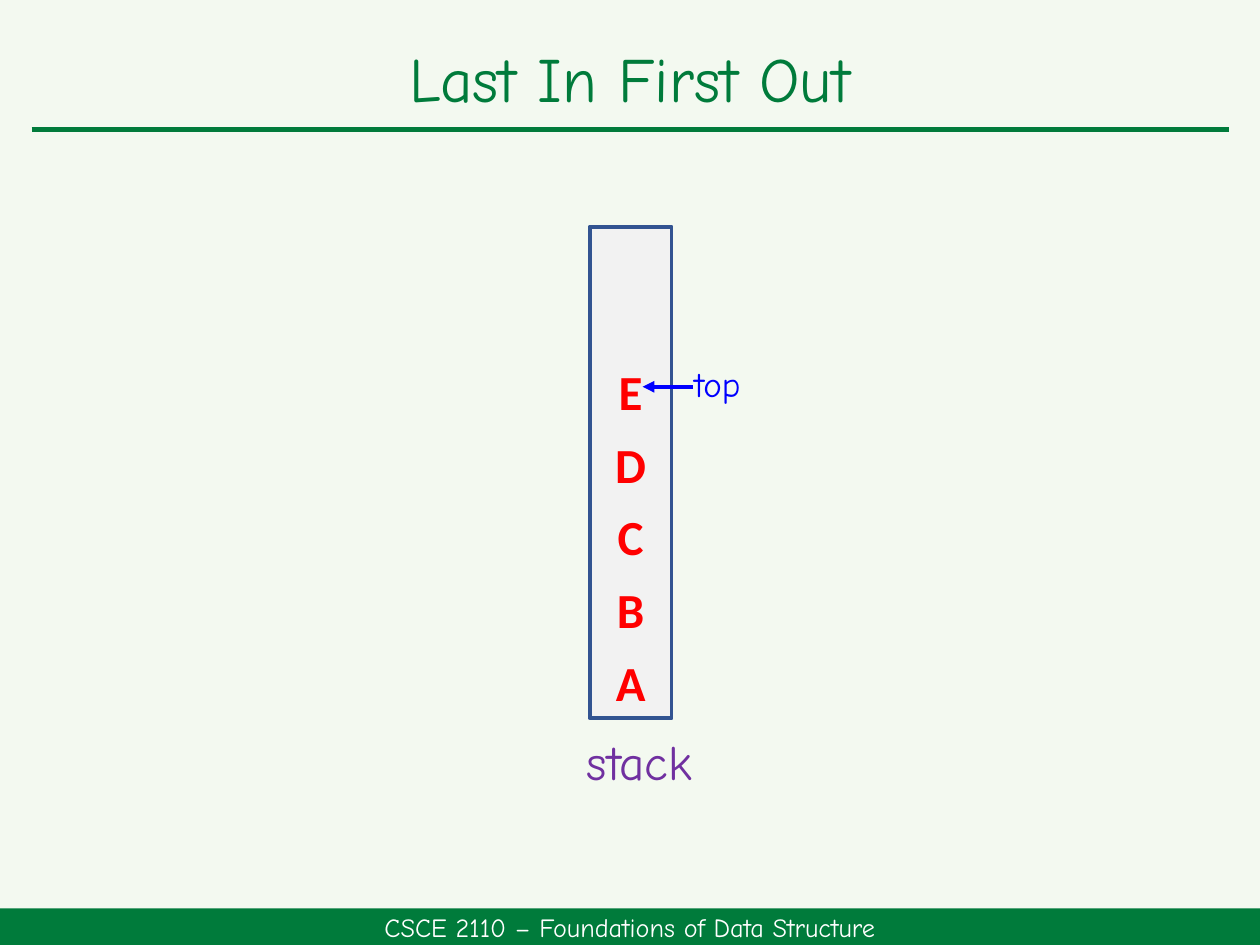
from pptx import Presentation
from pptx.dml.color import RGBColor
from pptx.enum.shapes import MSO_CONNECTOR, MSO_SHAPE
from pptx.enum.text import MSO_ANCHOR, MSO_AUTO_SIZE, PP_ALIGN
from pptx.oxml.ns import qn
from pptx.util import Inches, Pt
from lxml import etree

RECTANGLE = MSO_SHAPE.RECTANGLE
STRAIGHT = MSO_CONNECTOR.STRAIGHT
MIDDLE = MSO_ANCHOR.MIDDLE
TOP = MSO_ANCHOR.TOP
CENTER = PP_ALIGN.CENTER
GROW = MSO_AUTO_SIZE.SHAPE_TO_FIT_TEXT
FIXED = MSO_AUTO_SIZE.NONE

PAPER = RGBColor(0xF3, 0xF9, 0xF0)
GREEN = RGBColor(0x00, 0x7B, 0x3B)
WHITE = RGBColor(0xFF, 0xFF, 0xFF)
GRAY = RGBColor(0xF2, 0xF2, 0xF2)
NAVY = RGBColor(0x32, 0x54, 0x91)
RED = RGBColor(0xFF, 0x00, 0x00)
BLUE = RGBColor(0x00, 0x00, 0xFF)
PURPLE = RGBColor(0x70, 0x30, 0xA0)

HAND_FONT = "Comic Neue"
ITEM_FONT = "Calibri"

COLUMNS, ROWS = 100, 75
WIDTH, HEIGHT = Inches(10), Inches(7.5)

STACK_LEFT, STACK_TOP, STACK_WIDTH, STACK_HEIGHT = 46.8, 18, 6.5, 39
ITEMS = "ABCDE"
ITEM_HEIGHT = 5.7
ITEM_STEP = 5.78


def across(columns):
    return round(WIDTH * columns / COLUMNS)


def down(rows):
    return round(HEIGHT * rows / ROWS)


def place(left, top, width, height):
    return across(left), down(top), across(width), down(height)


def write_text(box, text, size, color, font=HAND_FONT, bold=False,
               anchor=TOP, after=0):
    frame = box.text_frame
    frame.word_wrap = True
    frame.vertical_anchor = anchor
    para = frame.paragraphs[0]
    para.alignment = CENTER
    para.space_after = Pt(after)
    span = para.add_run()
    span.text = text
    span.font.name = font
    span.font.size = Pt(size)
    span.font.bold = bold
    span.font.color.rgb = color


def add_label(page, area, text, size, color, fit=GROW, **style):
    box = page.shapes.add_textbox(*place(*area))
    write_text(box, text, size, color, **style)
    box.text_frame.auto_size = fit


def add_block(page, area, fill, outline=None):
    block = page.shapes.add_shape(RECTANGLE, *place(*area))
    block.shadow.inherit = False
    block.fill.solid()
    block.fill.fore_color.rgb = fill
    if outline is None:
        block.line.fill.background()
    else:
        block.line.color.rgb = outline
        block.line.width = Pt(2.25)
    return block


def add_line(page, start, end, row, color, weight, arrow=False):
    line = page.shapes.add_connector(
        STRAIGHT, across(start), down(row), across(end), down(row))
    line.line.color.rgb = color
    line.line.width = Pt(weight)
    if arrow:
        outline = line.line._get_or_add_ln()
        etree.SubElement(outline, qn("a:tailEnd"), type="triangle")
    etree.SubElement(line._element.spPr, qn("a:effectLst"))


def add_frame(page):
    footer = add_block(page, (0, 72.1, COLUMNS, 2.9), GREEN)
    write_text(footer, "CSCE 2110 – Foundations of Data Structure",
               15, WHITE, anchor=MIDDLE)
    add_label(page, (2.5, 1.9, 95, 8.4), "Last In First Out", 36, GREEN,
              fit=FIXED, anchor=MIDDLE)
    add_line(page, 2.5, 97.5, 10.3, GREEN, 3)


def add_stack(page):
    add_block(page, (STACK_LEFT, STACK_TOP, STACK_WIDTH, STACK_HEIGHT),
              GRAY, NAVY)
    floor = STACK_TOP + STACK_HEIGHT - ITEM_HEIGHT
    for level, item in enumerate(ITEMS):
        area = (STACK_LEFT, floor - level * ITEM_STEP,
                STACK_WIDTH, ITEM_HEIGHT)
        add_label(page, area, item, 28, RED, font=ITEM_FONT, bold=True,
                  after=18)
    add_label(page, (53.6, 28.3, 6.7, 4.4), "top", 20, BLUE, after=18)
    add_line(page, 55, 51, 30.7, BLUE, 2.25, arrow=True)
    add_label(page, (44.7, 57.6, 12.1, 5.7), "stack", 28, PURPLE, after=18)


def main():
    deck = Presentation()
    deck.slide_width, deck.slide_height = WIDTH, HEIGHT
    page = deck.slides.add_slide(deck.slide_layouts[6])
    page.background.fill.solid()
    page.background.fill.fore_color.rgb = PAPER
    add_frame(page)
    add_stack(page)
    deck.save("out.pptx")


if __name__ == "__main__":
    main()
